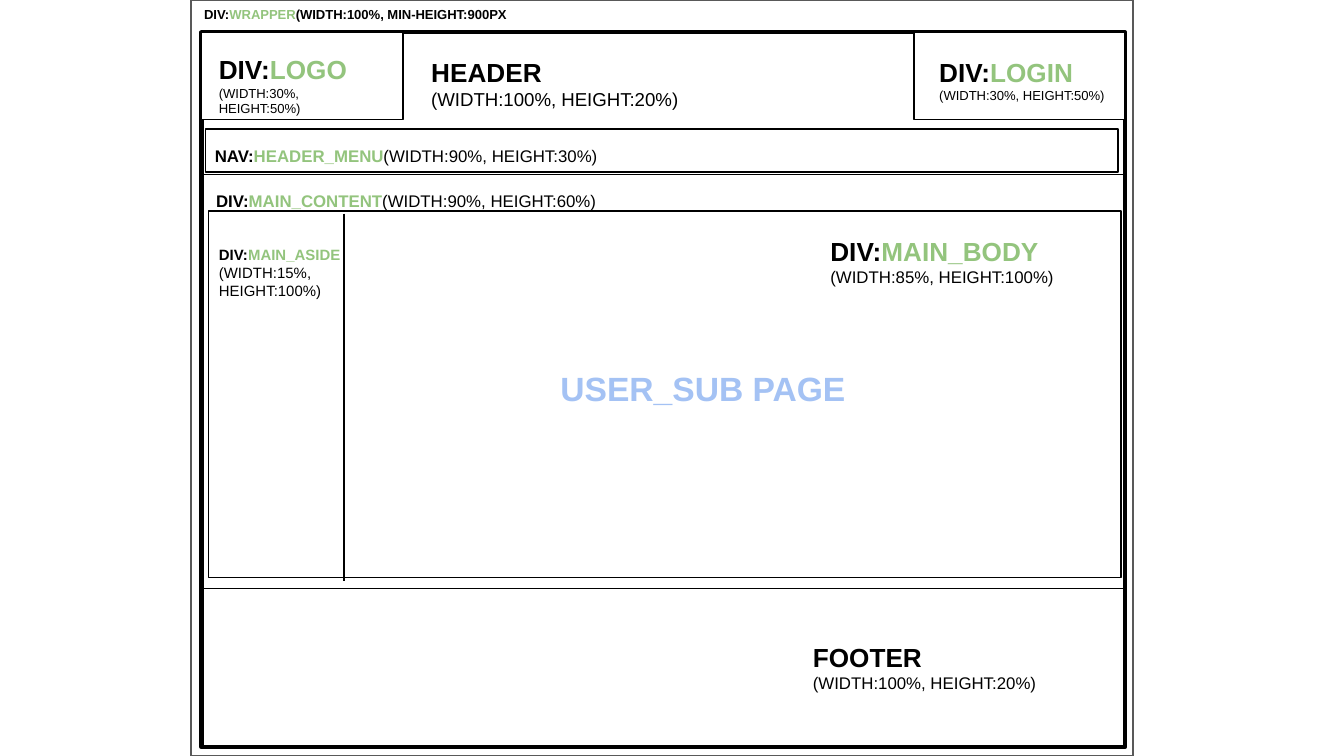
from lxml.etree import SubElement
from pptx import Presentation
from pptx.dml.color import RGBColor
from pptx.enum.shapes import MSO_CONNECTOR as CONN, MSO_SHAPE as SHAPE
from pptx.enum.text import MSO_ANCHOR, MSO_AUTO_SIZE, PP_ALIGN
from pptx.oxml.ns import qn
from pptx.util import Inches, Pt

SLIDE_W = 10
SLIDE_H = SLIDE_W * 9 / 16
BLACK, WHITE, GRAY = "000000", "FFFFFF", "595959"
GREEN, BLUE = "93C47D", "A4C2F4"

# left, top, width, height, line colour, line width
FRAMES = [
    (1.42, 0, 7.01, SLIDE_H, GRAY, 0.75),   # page
    (1.5, 0.24, 6.87, 5.32, BLACK, 2.25),   # wrapper
    (1.5, 0.24, 1.5, 0.65, BLACK, 0.75),    # logo
    (1.53, 0.96, 6.79, 0.32, BLACK, 0.75),  # header menu
    (6.8, 0.24, 1.57, 0.65, BLACK, 0.75),   # login
    (1.55, 1.57, 6.79, 2.73, BLACK, 0.75),  # main content
]

# x1, y1, x2, y2
DIVIDERS = [
    (1.5, 1.3, 8.37, 1.3),     # under header
    (1.51, 4.38, 8.36, 4.38),  # above footer
    (2.56, 1.59, 2.56, 4.32),  # beside main aside
]

# box, top inset, paragraphs; each run is text, size, colour, bold
LABELS = [
    ((1.42, 0, 2.65, 0.32), 0.05,
     [[("DIV:", 7, BLACK, True), ("WRAPPER", 7, GREEN, True),
       ("(WIDTH:100%, MIN-HEIGHT:900PX", 7, BLACK, True)]]),
    ((1.53, 0.3, 1.42, 0.67), 0.1,
     [[("DIV:", 14, BLACK, True), ("LOGO", 14, GREEN, True)],
      [("(WIDTH:30%, HEIGHT:50%)", 7, BLACK, False)]]),
    ((3.11, 0.32, 3.02, 0.61), 0.1,
     [[("HEADER", 14, BLACK, True)],
      [("(WIDTH:100%, HEIGHT:20%)", 10, BLACK, False)]]),
    ((6.89, 0.32, 1.46, 0.49), 0.1,
     [[("DIV:", 14, BLACK, True), ("LOGIN", 14, GREEN, True)],
      [("(WIDTH:30%, HEIGHT:50%)", 7, BLACK, False)]]),
    ((1.5, 0.99, 6.58, 0.19), 0.1,
     [[("NAV:", 9, BLACK, True), ("HEADER_MENU", 9, GREEN, True),
       ("(WIDTH:90%, HEIGHT:30%)", 9, BLACK, False)]]),
    ((1.51, 1.32, 3.3, 0.24), 0.1,
     [[("DIV:", 9, BLACK, True), ("MAIN_CONTENT", 9, GREEN, True),
       ("(WIDTH:90%, HEIGHT:60%)", 9, BLACK, False)]]),
    ((1.53, 1.73, 1.15, 0.4), 0.1,
     [[("DIV:", 8, BLACK, True), ("MAIN_ASIDE", 8, GREEN, True)],
      [("(WIDTH:15%,", 8, BLACK, False)],
      [("HEIGHT:100%)", 8, BLACK, False)]]),
    ((6.08, 1.65, 2.25, 0.55), 0.1,
     [[("DIV:", 14, BLACK, True), ("MAIN_BODY", 14, GREEN, True)],
      [("(WIDTH:85%, HEIGHT:100%)", 9, BLACK, False)]]),
    ((5.95, 4.67, 2.34, 0.55), 0.1,
     [[("FOOTER", 14, BLACK, True)],
      [("(WIDTH:100%, HEIGHT:20%)", 9, BLACK, False)]]),
]
TITLE_BOX = (4.07, 2.64, 2.4, 0.4)
TITLE = [[("USER_SUB PAGE", 18, BLUE, True)]]


def rgb(color):
    return RGBColor.from_string(color)


def add_frame(s, x, y, w, h, color, width):
    sp = s.shapes.add_shape(SHAPE.RECTANGLE, *map(Inches, (x, y, w, h)))
    sp.shadow.inherit = False
    sp.fill.solid()
    sp.fill.fore_color.rgb = rgb(WHITE)
    sp.line.color.rgb = rgb(color)
    sp.line.width = Pt(width)


def add_divider(s, ends):
    line = s.shapes.add_connector(CONN.STRAIGHT, *map(Inches, ends))
    line.line.color.rgb = rgb(BLACK)
    line.line.width = Pt(0.75)
    SubElement(line._element.spPr, qn("a:effectLst"))


def write(tf, paragraphs, top=0.1):
    """Fill a text frame with left-aligned, top-anchored styled runs."""
    tf.word_wrap = True
    tf.auto_size = MSO_AUTO_SIZE.NONE
    tf.vertical_anchor = MSO_ANCHOR.TOP
    tf.margin_left = tf.margin_right = tf.margin_bottom = Inches(0.1)
    tf.margin_top = Inches(top)
    for i, runs in enumerate(paragraphs):
        p = tf.add_paragraph() if i else tf.paragraphs[0]
        p.alignment = PP_ALIGN.LEFT
        p.line_spacing = 1.0
        p.space_before = Pt(0)
        for text, size, color, bold in runs:
            r = p.add_run()
            r.text = text
            r.font.name = "Arial"
            r.font.size = Pt(size)
            r.font.bold = bold
            r.font.color.rgb = rgb(color)


def main():
    prs = Presentation()
    prs.slide_width, prs.slide_height = Inches(SLIDE_W), Inches(SLIDE_H)
    s = prs.slides.add_slide(prs.slide_layouts[5])

    for frame in FRAMES:
        add_frame(s, *frame)
    for ends in DIVIDERS:
        add_divider(s, ends)
    for box, top, paragraphs in LABELS:
        tf = s.shapes.add_textbox(*map(Inches, box)).text_frame
        write(tf, paragraphs, top)

    title = s.shapes.title
    title.left, title.top, title.width, title.height = map(Inches, TITLE_BOX)
    write(title.text_frame, TITLE)
    title._element.getparent().append(title._element)  # in front of the frames

    prs.save("out.pptx")


if __name__ == "__main__":
    main()
